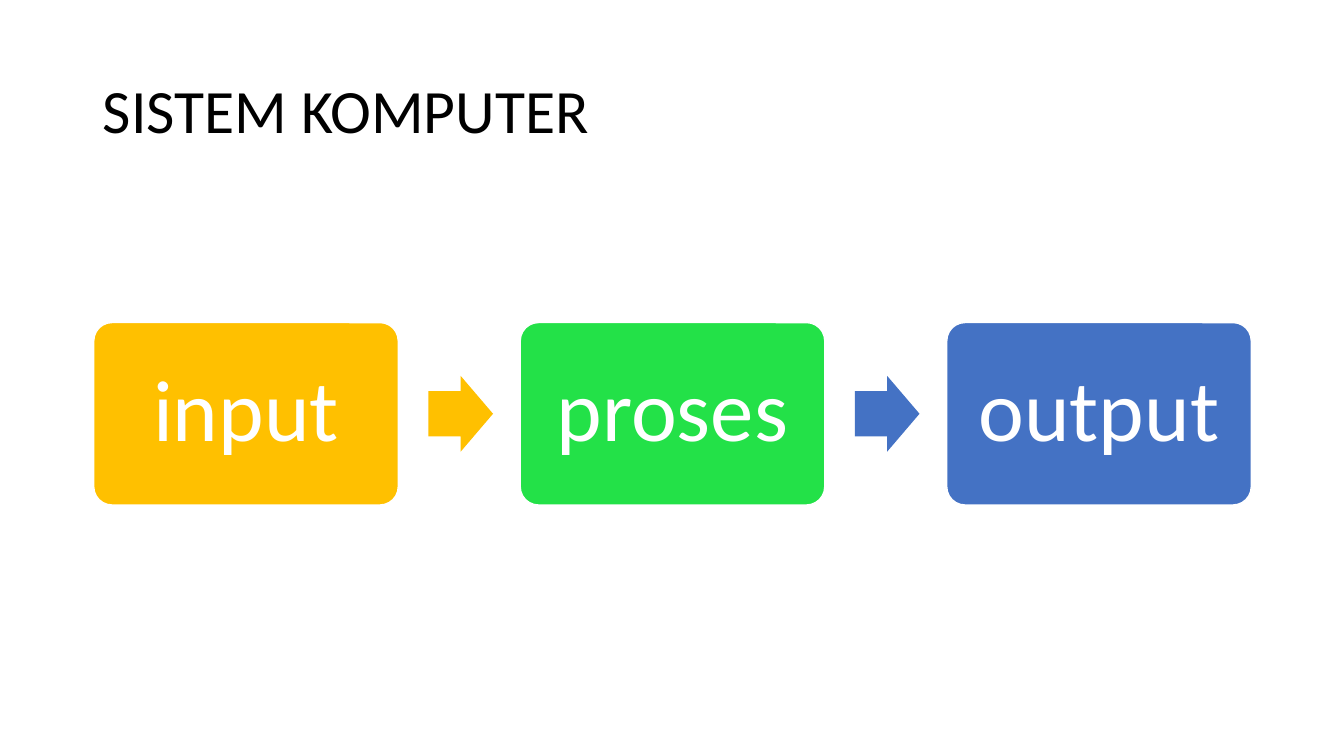
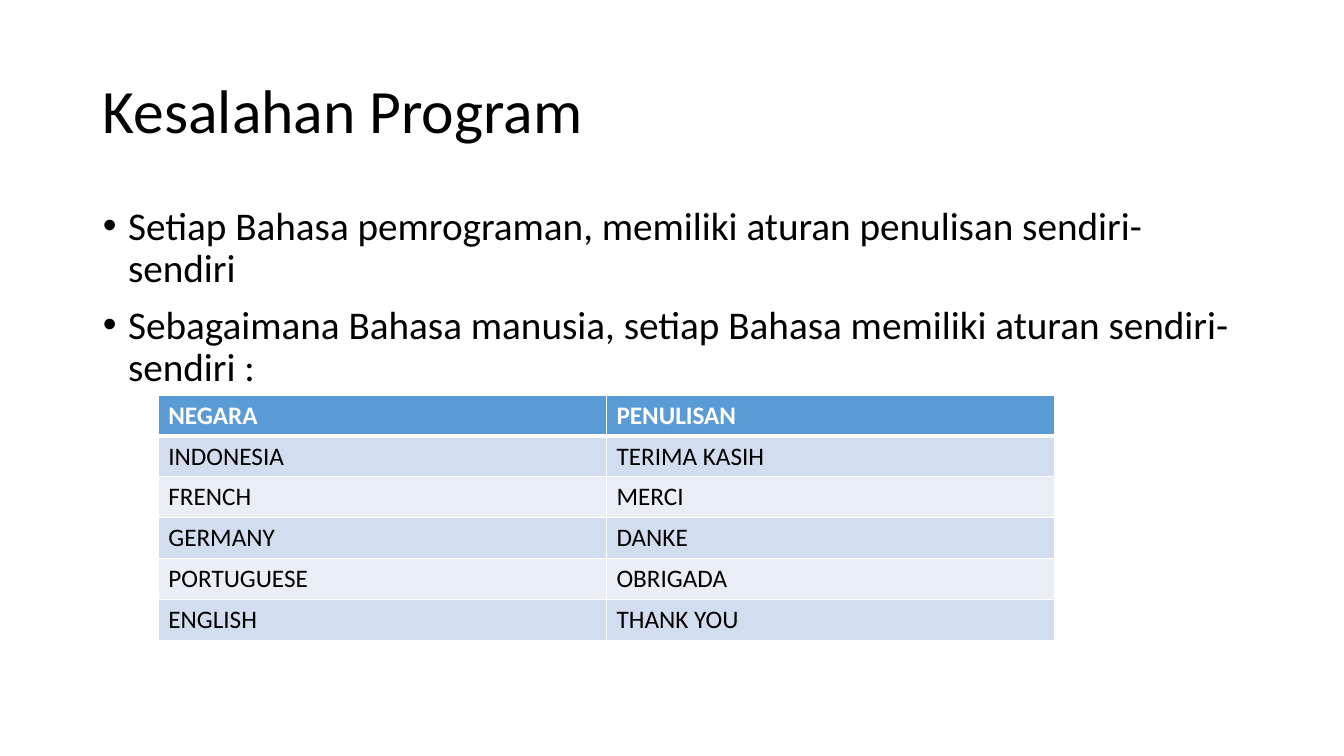
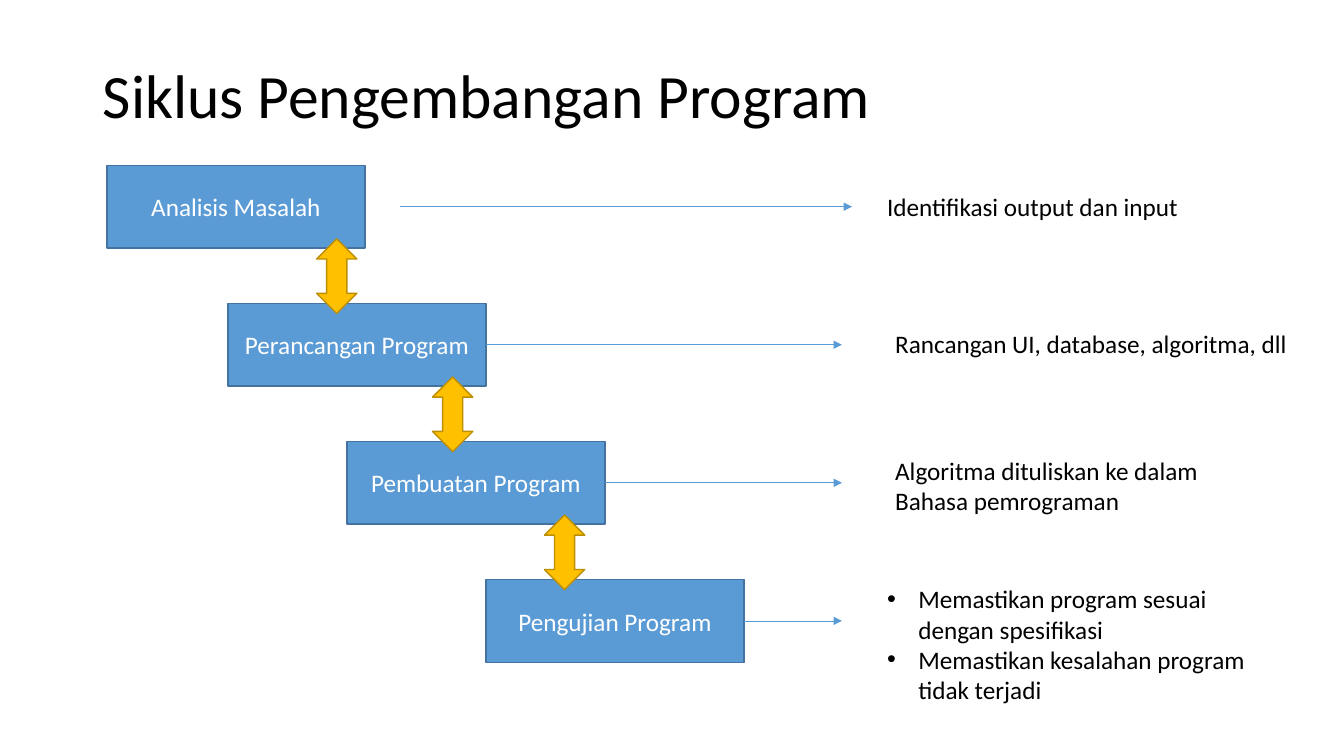
from dataclasses import dataclass
from itertools import product

from lxml.etree import SubElement
from pptx import Presentation
from pptx.dml.color import RGBColor
from pptx.enum.shapes import MSO_CONNECTOR, MSO_SHAPE
from pptx.enum.text import MSO_ANCHOR, MSO_AUTO_SIZE, PP_ALIGN
from pptx.oxml.ns import qn
from pptx.util import Emu, Pt

FONT = "Calibri"
COLORS = {
    "text": "000000",
    "white": "FFFFFF",
    "blue": "5B9BD5",
    "blue_edge": "43739E",
    "gold": "FFC000",
    "gold_edge": "BD8E00",
    "green": "23E148",
    "indigo": "4472C4",
    "band_dark": "D2DEEF",
    "band_light": "EAEFF7",
}
CONTENT_LEFT, CONTENT_WIDTH = 92, 1150


@dataclass(frozen=True)
class Step:
    label: str
    color: str


@dataclass(frozen=True)
class Note:
    left: int
    top: int
    width: int
    height: int
    text: str
    bulleted: bool = False


@dataclass(frozen=True)
class Stage:
    label: str
    left: int
    note: Note
    arrow_end: int = 835
    swap_left: int | None = None


STEPS = (Step("input", "gold"), Step("proses", "green"), Step("output", "indigo"))

RULES = (
    "Setiap Bahasa pemrograman, memiliki aturan penulisan sendiri-sendiri\n"
    "Sebagaimana Bahasa manusia, setiap Bahasa memiliki aturan sendiri-sendiri :"
)

THANKS = (
    ("NEGARA", "PENULISAN"),
    ("INDONESIA", "TERIMA KASIH"),
    ("FRENCH", "MERCI"),
    ("GERMANY", "DANKE"),
    ("PORTUGUESE", "OBRIGADA"),
    ("ENGLISH", "THANK YOU"),
)

STAGES = (
    Stage("Analisis Masalah", 106,
          Note(870, 185, 312, 40, "Identifikasi output dan input"), 845, 314),
    Stage("Perancangan Program", 226,
          Note(878, 321, 413, 40, "Rancangan UI, database, algoritma, dll"), swap_left=429),
    Stage("Pembuatan Program", 344,
          Note(878, 447, 329, 71, "Algoritma dituliskan ke dalam\nBahasa pemrograman"),
          swap_left=540),
    Stage("Pengujian Program", 482,
          Note(870, 574, 394, 131,
               "Memastikan program sesuai dengan spesifikasi\n"
               "Memastikan kesalahan program tidak terjadi", True)),
)


def px(length: float) -> Emu:
    """One px is a hundredth of an inch."""
    return Emu(round(length * 9144))


def rgb(name: str) -> RGBColor:
    return RGBColor.from_string(COLORS[name])


def place(shape, left: int, top: int, width: int, height: int) -> None:
    shape.left, shape.top = px(left), px(top)
    shape.width, shape.height = px(width), px(height)


def format_text(text_frame, size: int, color: str = "text", align=PP_ALIGN.LEFT,
                line_spacing: float = 1.0, space_before: int = 0, bold: bool = False) -> None:
    for paragraph in text_frame.paragraphs:
        paragraph.alignment = align
        paragraph.line_spacing = line_spacing
        paragraph.space_before = Pt(space_before)
        for run in paragraph.runs:
            run.font.name, run.font.size, run.font.bold = FONT, Pt(size), bold
            run.font.color.rgb = rgb(color)


def add_bullets(text_frame, indent: int) -> None:
    for paragraph in text_frame.paragraphs:
        properties = paragraph._p.get_or_add_pPr()
        properties.set("marL", str(px(indent)))
        properties.set("indent", str(px(-indent)))
        SubElement(properties, qn("a:buFont"), typeface="Arial")
        SubElement(properties, qn("a:buChar"), char="•")


def add_titled_slide(presentation, title: str, layout: int = 5, title_height: int = 145):
    slide = presentation.slides.add_slide(presentation.slide_layouts[layout])
    shape = slide.shapes.title
    place(shape, CONTENT_LEFT, 40, CONTENT_WIDTH, title_height)
    text_frame = shape.text_frame
    text_frame.text = title
    text_frame.auto_size = MSO_AUTO_SIZE.NONE
    text_frame.vertical_anchor = MSO_ANCHOR.MIDDLE
    format_text(text_frame, 44, line_spacing=0.9)
    return slide


def add_block(slide, kind, left: int, top: int, width: int, height: int,
              fill: str, edge: str | None = None, label: str = "", size: int = 18):
    shape = slide.shapes.add_shape(kind, px(left), px(top), px(width), px(height))
    shape.shadow.inherit = False
    shape.fill.solid()
    shape.fill.fore_color.rgb = rgb(fill)
    if edge:
        shape.line.color.rgb = rgb(edge)
        shape.line.width = Pt(1)
    else:
        shape.line.fill.background()
    if label:
        shape.text_frame.text = label
        shape.text_frame.vertical_anchor = MSO_ANCHOR.MIDDLE
        format_text(shape.text_frame, size, "white", PP_ALIGN.CENTER)
    return shape


def add_arrow(slide, start: int, end: int, y: float, source=None) -> None:
    connector = slide.shapes.add_connector(
        MSO_CONNECTOR.STRAIGHT, px(start), px(y), px(end), px(y))
    if source is not None:
        connector.begin_connect(source, 3)
    connector.line.color.rgb = rgb("blue")
    connector.line.width = Pt(0.5)
    SubElement(connector.line._get_or_add_ln(), qn("a:tailEnd"), type="triangle")
    SubElement(connector._element.spPr, qn("a:effectLst"))


def add_note(slide, note: Note) -> None:
    box = slide.shapes.add_textbox(px(note.left), px(note.top), px(note.width), px(note.height))
    text_frame = box.text_frame
    text_frame.word_wrap = note.bulleted
    text_frame.text = note.text
    format_text(text_frame, 18)
    if note.bulleted:
        add_bullets(text_frame, 31)


def add_borders(cell, bottom_width: int) -> None:
    properties = cell._tc.get_or_add_tcPr()
    for side, width in (("L", 1), ("R", 1), ("T", 1), ("B", bottom_width)):
        line = SubElement(properties, qn(f"a:ln{side}"), w=str(Pt(width)))
        fill = SubElement(line, qn("a:solidFill"))
        SubElement(fill, qn("a:srgbClr"), val=COLORS["white"])


def build_system_slide(presentation) -> None:
    slide = add_titled_slide(presentation, "SISTEM KOMPUTER")
    left, pitch, width = 93, 423, 302
    for index, step in enumerate(STEPS):
        box_left = left + index * pitch
        # The arrow before a box takes the box colour, except the first one
        if index:
            arrow_color = "gold" if index == 1 else step.color
            arrow = add_block(slide, MSO_SHAPE.RIGHT_ARROW, box_left - 91, 373, 64, 75,
                              arrow_color)
            arrow.adjustments[0] = 0.6
        box = add_block(slide, MSO_SHAPE.ROUNDED_RECTANGLE, box_left, 320, width, 181,
                        step.color, "white", step.label, 62)
        box.adjustments[0] = 0.1
        format_text(box.text_frame, 62, "white", PP_ALIGN.CENTER, 0.9)


def build_errors_slide(presentation) -> None:
    slide = add_titled_slide(presentation, "Kesalahan Program", layout=1)

    # Bulleted rules
    body = slide.placeholders[1]
    place(body, CONTENT_LEFT, 200, CONTENT_WIDTH, 476)
    body.text_frame.text = RULES
    body.text_frame.auto_size = MSO_AUTO_SIZE.NONE
    format_text(body.text_frame, 28, line_spacing=0.9, space_before=10)
    add_bullets(body.text_frame, 25)

    # Table of thanks
    rows, columns = len(THANKS), len(THANKS[0])
    table = slide.shapes.add_table(rows, columns, px(157), px(392), px(889), px(243)).table
    for row, column in product(range(rows), range(columns)):
        header = row == 0
        cell = table.cell(row, column)
        cell.text_frame.text = THANKS[row][column]
        format_text(cell.text_frame, 18, "white" if header else "text", bold=header)
        add_borders(cell, 3 if header else 1)
        cell.fill.solid()
        band = "band_dark" if row % 2 else "band_light"
        cell.fill.fore_color.rgb = rgb("blue" if header else band)


def build_cycle_slide(presentation) -> None:
    slide = add_titled_slide(presentation, "Siklus Pengembangan Program", title_height=115)
    top, pitch, width, height = 164, 137, 256, 82
    tops = [top + index * pitch for index in range(len(STAGES))]

    # Stages with their arrows and notes
    for index, (stage, stage_top) in enumerate(zip(STAGES, tops)):
        box = add_block(slide, MSO_SHAPE.RECTANGLE, stage.left, stage_top, width, height,
                        "blue", "blue_edge", stage.label)
        right, middle = stage.left + width, stage_top + height / 2
        if index:
            add_arrow(slide, right, stage.arrow_end, middle, box)
        else:
            add_arrow(slide, right + 35, stage.arrow_end, middle)
        add_note(slide, stage.note)

    # Two-way arrows over the stages
    for stage, stage_top in zip(STAGES, tops):
        if stage.swap_left is not None:
            add_block(slide, MSO_SHAPE.UP_DOWN_ARROW, stage.swap_left, stage_top + 73, 40, 74,
                      "gold", "gold_edge")


def main() -> None:
    presentation = Presentation()
    presentation.slide_width, presentation.slide_height = px(1333), px(750)
    build_system_slide(presentation)
    build_errors_slide(presentation)
    build_cycle_slide(presentation)
    presentation.save("out.pptx")


if __name__ == "__main__":
    main()
